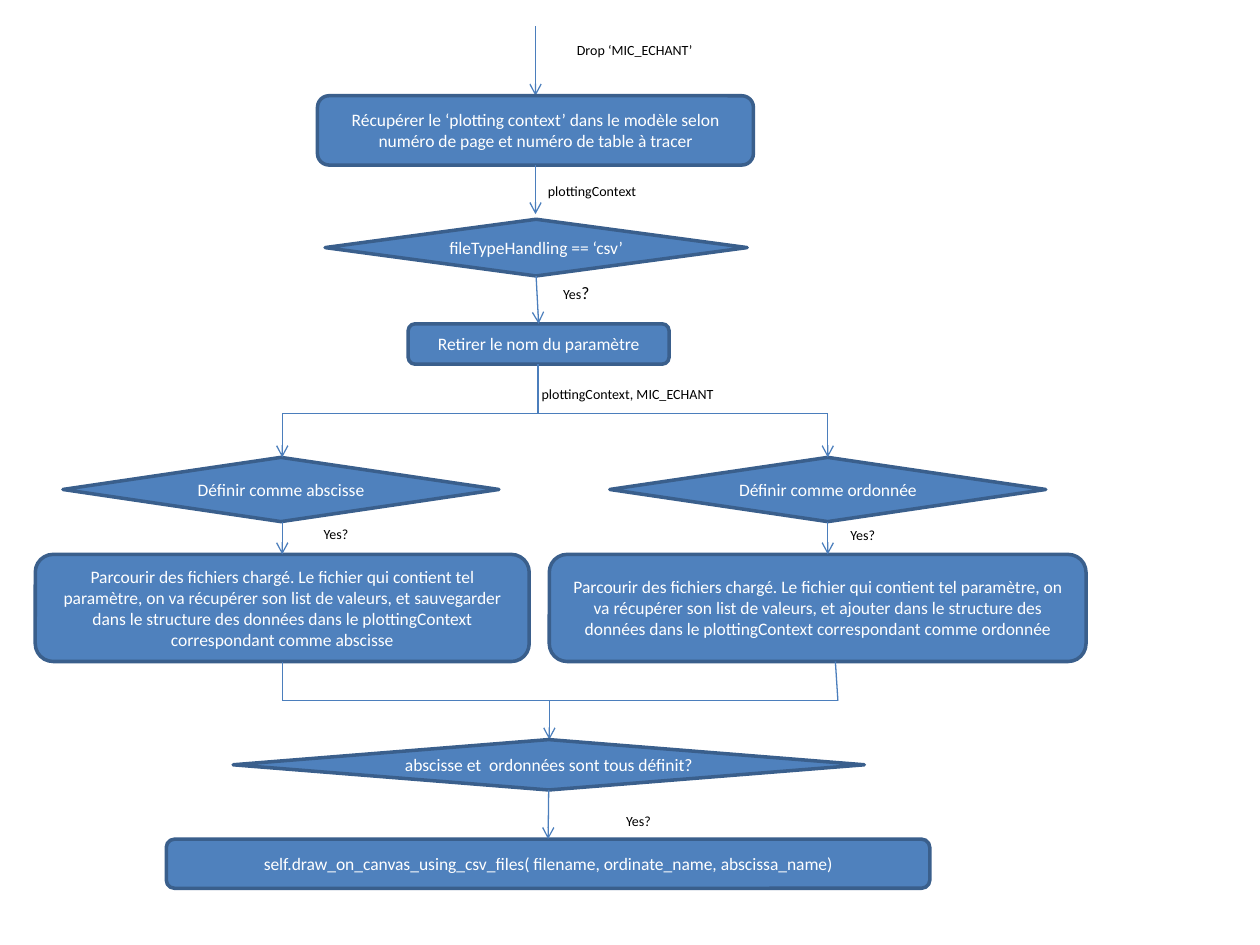
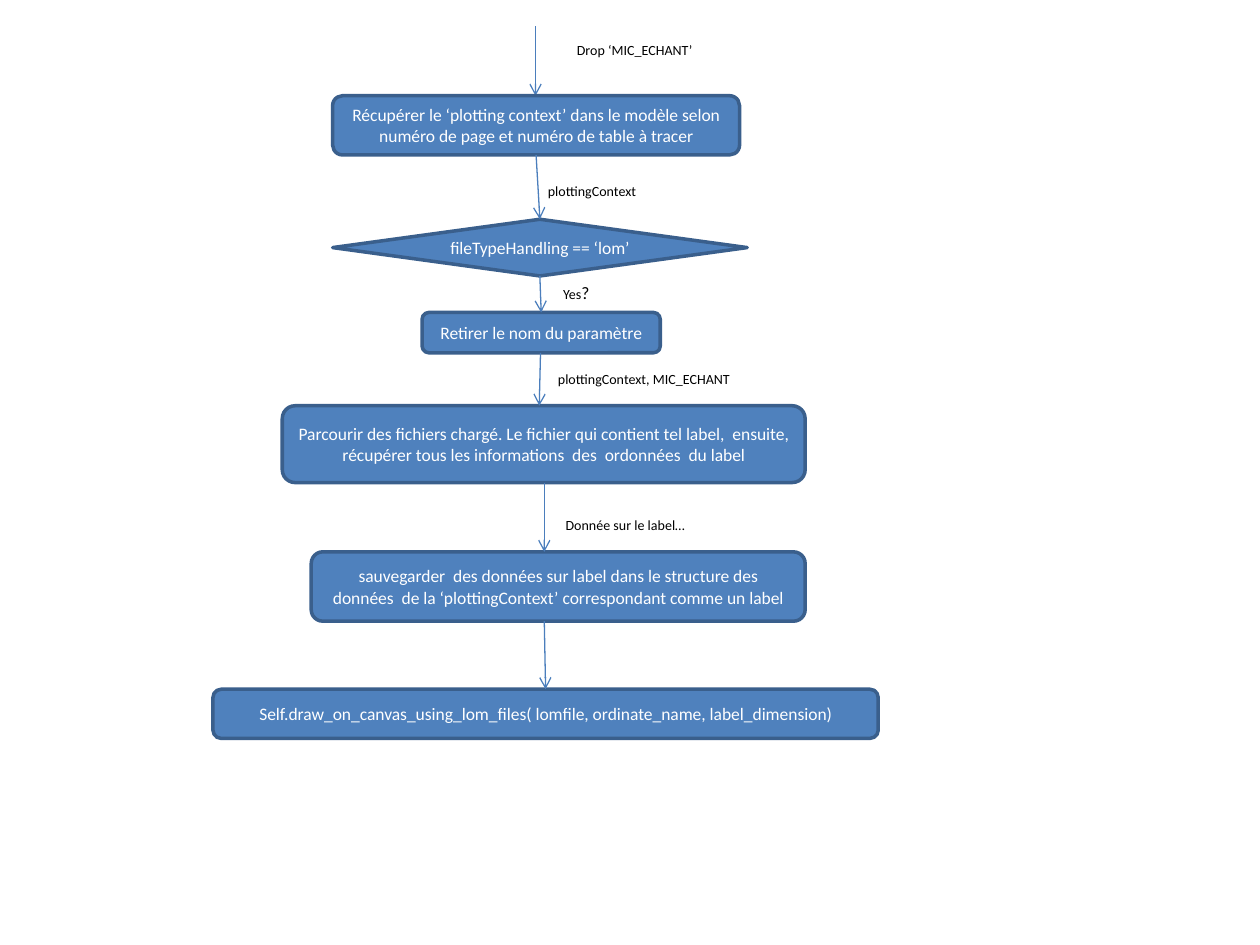
from dataclasses import dataclass

from lxml.etree import SubElement
from pptx import Presentation
from pptx.dml.color import RGBColor
from pptx.enum.shapes import MSO_CONNECTOR as Connector, MSO_SHAPE as Shape
from pptx.enum.text import MSO_ANCHOR as Anchor, MSO_AUTO_SIZE as AutoSize, PP_ALIGN as Align
from pptx.oxml.ns import qn
from pptx.util import Pt

PX = 9144  # EMU per px, at 100 px to the inch
TOP, BOTTOM = 0, 2  # connection sites


@dataclass(frozen=True)
class Theme:
    font: str = "Calibri"
    fill: RGBColor = RGBColor(0x4F, 0x81, 0xBD)
    border: RGBColor = RGBColor(0x3A, 0x5F, 0x8C)
    arrow: RGBColor = RGBColor(0x4B, 0x7E, 0xBC)
    on_fill: RGBColor = RGBColor(0xFF, 0xFF, 0xFF)
    ink: RGBColor = RGBColor(0, 0, 0)
    step_size: Pt = Pt(10)
    label_size: Pt = Pt(8)
    border_width: Pt = Pt(2)
    arrow_width: Pt = Pt(0.75)


THEME = Theme()


def px(*lengths):
    return [round(length * PX) for length in lengths]


def format_run(run, size, color):
    run.font.name = THEME.font
    run.font.size = size
    run.font.color.rgb = color


# Elements of the flow chart
def add_node(slide, kind, box, text):
    node = slide.shapes.add_shape(kind, *px(*box))
    node.shadow.inherit = False
    node.fill.solid()
    node.fill.fore_color.rgb = THEME.fill
    node.line.color.rgb = THEME.border
    node.line.width = THEME.border_width
    frame = node.text_frame
    frame.word_wrap = True
    frame.vertical_anchor = Anchor.MIDDLE
    frame.text = text
    paragraph = frame.paragraphs[0]
    paragraph.alignment = Align.CENTER
    format_run(paragraph.runs[0], THEME.step_size, THEME.on_fill)
    return node


def add_step(slide, box, text):
    return add_node(slide, Shape.ROUNDED_RECTANGLE, box, text)


def add_decision(slide, box, text):
    return add_node(slide, Shape.FLOWCHART_DECISION, box, text)


def add_label(slide, box, text, wrap=False):
    label = slide.shapes.add_textbox(*px(*box))
    frame = label.text_frame
    frame.word_wrap = wrap
    frame.auto_size = AutoSize.SHAPE_TO_FIT_TEXT
    frame.text = text
    format_run(frame.paragraphs[0].runs[0], THEME.label_size, THEME.ink)
    return label


def add_yes(slide, left, top):
    add_label(slide, (left, top, 41, 24), "Yes?")


def add_line(slide, start, end, arrow=True):
    line = slide.shapes.add_connector(Connector.STRAIGHT, *px(*start, *end))
    line.line.color.rgb = THEME.arrow
    line.line.width = THEME.arrow_width
    properties = line.line._get_or_add_ln()
    if arrow:
        SubElement(properties, qn("a:tailEnd"), type="arrow")
    SubElement(properties.getparent(), qn("a:effectLst"))
    return line


def link(slide, upper, lower):
    arrow = add_line(slide, (0, 0), (1, 1))
    arrow.begin_connect(upper, BOTTOM)
    arrow.end_connect(lower, TOP)


# Start shared by both flows: drop, fetch the context, test the file type
def add_opening(slide, fetch_box, test_box, file_type, name_box):
    add_line(slide, (425, 21), (425, 76))
    add_label(slide, (448, 28, 112, 24), "Drop ‘MIC_ECHANT’")
    fetch = add_step(slide, fetch_box,
                     "Récupérer le ‘plotting context’ dans le modèle selon "
                     "numéro de page et numéro de table à tracer")
    add_label(slide, (425, 140, 197, 24), "plottingContext", wrap=True)
    test = add_decision(slide, test_box, f"fileTypeHandling == ‘{file_type}’")
    yes = add_label(slide, (437, 219, 42, 27), "Yes")
    mark = yes.text_frame.paragraphs[0].add_run()
    mark.text = "?"
    format_run(mark, THEME.step_size, THEME.ink)
    name = add_node(slide, Shape.FLOWCHART_ALTERNATE_PROCESS, name_box,
                    "Retirer le nom du paramètre")
    link(slide, test, name)
    return fetch, test


def add_parameter_label(slide, left, top):
    add_label(slide, (left, top, 197, 24), "plottingContext, MIC_ECHANT", wrap=True)


def build_csv_flow(slide):
    add_opening(slide, (252, 76, 346, 55), (258, 174, 335, 45), "csv",
                (324, 257, 207, 32))
    add_line(slide, (425, 131), (425, 170))
    add_parameter_label(slide, 420, 301)

    # Split into the two axes
    abscissa_x, ordinate_x, split_y = 224, 657, 328
    add_line(slide, (427, 289), (427, split_y), arrow=False)
    add_line(slide, (abscissa_x, split_y), (ordinate_x, split_y), arrow=False)
    branches = (
        (abscissa_x, "abscisse", 50, (28, 392), "sauvegarder", (247, 412)),
        (ordinate_x, "ordonnée", 484, (436, 426), "ajouter", (665, 413)),
    )
    for x, axis, test_left, (left, width), action, yes_at in branches:
        add_decision(slide, (test_left, 363, 346, 51), f"Définir comme {axis}")
        add_step(slide, (left, 440, width, 85),
                 "Parcourir des fichiers chargé. Le fichier qui contient tel "
                 "paramètre, on va récupérer son list de valeurs, et "
                 f"{action} dans le structure des données dans le "
                 f"plottingContext correspondant comme {axis}")
        add_line(slide, (x, split_y), (x, 363))
        add_line(slide, (x, 414), (x, 440))
        add_yes(slide, *yes_at)

    # Merge and draw
    merge_y = 556
    add_line(slide, (abscissa_x, 525), (abscissa_x, merge_y), arrow=False)
    add_line(slide, (663, 525), (665, merge_y), arrow=False)
    add_line(slide, (abscissa_x, merge_y), (665, merge_y), arrow=False)
    add_line(slide, (436, merge_y), (436, 587))
    both_set = add_decision(slide, (185, 587, 501, 40),
                            "abscisse et  ordonnées sont tous définit?")
    add_yes(slide, 487, 640)
    draw = add_step(slide, (132, 666, 606, 39),
                    "self.draw_on_canvas_using_csv_files( filename, "
                    "ordinate_name, abscissa_name)")
    link(slide, both_set, draw)


def build_lom_flow(slide):
    fetch, test = add_opening(slide, (264, 76, 323, 47), (264, 174, 329, 45),
                              "lom", (335, 248, 189, 32))
    link(slide, fetch, test)
    add_parameter_label(slide, 433, 289)

    # Read the label, save it and draw
    add_step(slide, (224, 322, 415, 61),
             "Parcourir des fichiers chargé. Le fichier qui contient tel "
             "label,  ensuite, récupérer tous les informations  des  "
             "ordonnées  du label")
    add_label(slide, (439, 405, 122, 24), "Donnée sur le label…", wrap=True)
    add_step(slide, (247, 438, 392, 55),
             "sauvegarder  des données sur label dans le structure des "
             "données  de la ‘plottingContext’ correspondant comme un label")
    add_step(slide, (169, 547, 528, 39),
             "Self.draw_on_canvas_using_lom_files( lomfile, ordinate_name, "
             "label_dimension)")
    for start, end in (((429, 280), (428, 322)),
                       ((432, 383), (432, 438)),
                       ((432, 493), (433, 547))):
        add_line(slide, start, end)


def main():
    deck = Presentation()
    deck.slide_width, deck.slide_height = px(1000, 750)
    blank = deck.slide_layouts[6]
    for build_flow in (build_csv_flow, build_lom_flow):
        build_flow(deck.slides.add_slide(blank))
    deck.save("out.pptx")


if __name__ == "__main__":
    main()
